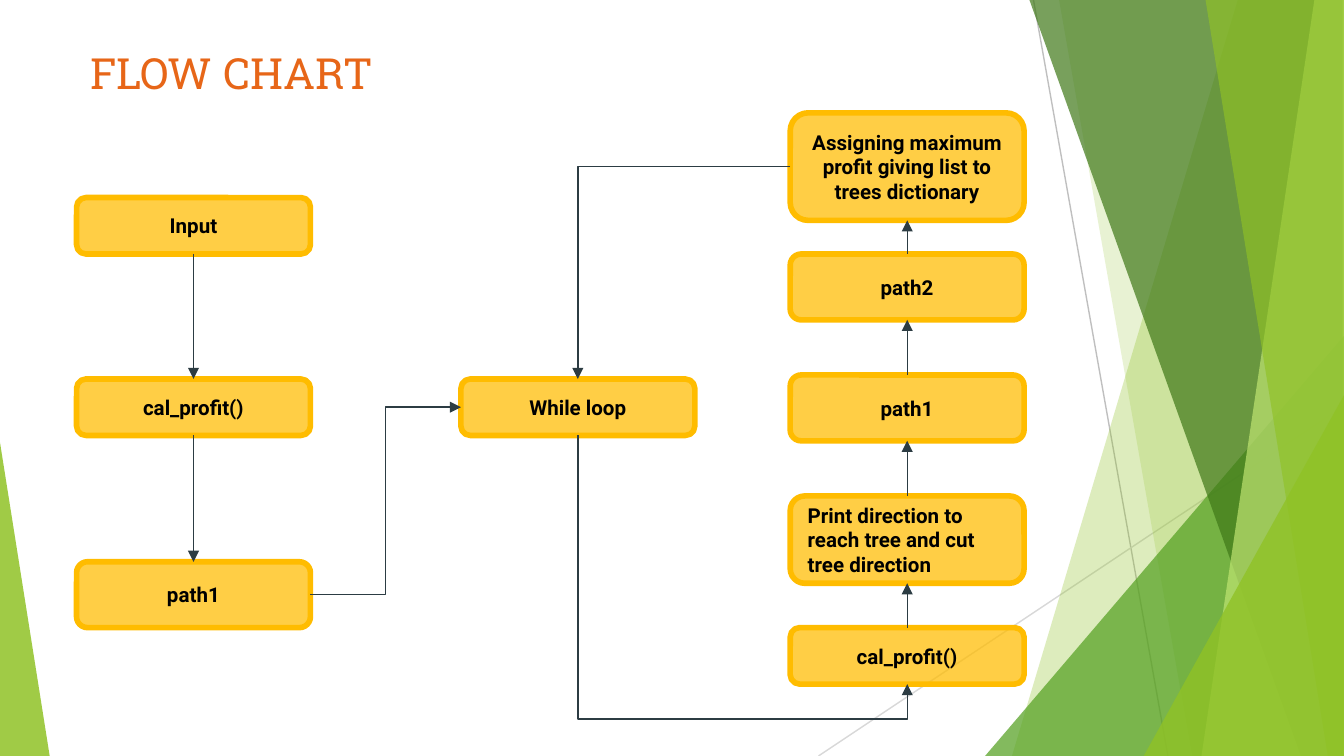
"""Builds a flow chart slide with faceted green side panels."""
from lxml import etree
from pptx import Presentation
from pptx.dml.color import RGBColor
from pptx.enum.shapes import MSO_CONNECTOR, MSO_SHAPE
from pptx.enum.text import MSO_ANCHOR, MSO_AUTO_SIZE, PP_ALIGN
from pptx.oxml.ns import qn
from pptx.util import Inches, Pt

STRAIGHT, ELBOW = MSO_CONNECTOR.STRAIGHT, MSO_CONNECTOR.ELBOW
TRIANGLE, ROUNDED = MSO_SHAPE.ISOSCELES_TRIANGLE, MSO_SHAPE.ROUNDED_RECTANGLE
LEFT, CENTER = PP_ALIGN.LEFT, PP_ALIGN.CENTER
TOP, MIDDLE = MSO_ANCHOR.TOP, MSO_ANCHOR.MIDDLE
SITE_TOP, SITE_LEFT, SITE_BOTTOM, SITE_RIGHT = range(4)

WIDTH = 10
HEIGHT = WIDTH * 9 / 16
BOX_WIDTH = 1.74
AMBER, INK, BLACK = "FFBC00", "2C3C43", "000000"

THIN_LINES = [((7.69, 0), (8.69, HEIGHT), "BFBFBF"),
              ((WIDTH, 3.02), (6.09, HEIGHT), "D8D8D8")]
FACETS = [
    ("panel", (9.21, 7.53, 10), "90C226", 30),
    ("panel", (7.88, 8.87, 10), "90C226", 20),
    ("triangle", (7.33, 2.5, 2.67, 1), "54A021", 72),
    ("panel", (7.66, 9.68, 9.99), "3F7818", 70),
    ("panel", (9.78, 8.94, 10), "BFE471", 70),
    ("panel", (8.97, 9.88, 10), "90C226", 65),
    ("triangle", (8.51, 2.94, 1.49, 1), "90C226", 80),
    ("triangle", (0, 3.29, 0.37, 0), "90C226", 85),
]
COLUMNS = {
    0.57: [("input", "Input", 1.47, 0.42, CENTER),
           ("profit", "cal_profit()", 2.82, 0.42, CENTER),
           ("route", "path1", 4.18, 0.49, CENTER)],
    3.43: [("loop", "While loop", 2.82, 0.42, CENTER)],
    5.88: [("assign", "Assigning maximum profit giving list to trees dictionary",
            0.84, 0.8, CENTER),
           ("second", "path2", 1.89, 0.49, CENTER),
           ("first", "path1", 2.79, 0.49, CENTER),
           ("print", "Print direction to reach tree and cut tree direction",
            3.69, 0.65, LEFT),
           ("loop_profit", "cal_profit()", 4.67, 0.42, CENTER)],
}
DOWN = [("input", "profit"), ("profit", "route")]
UP = [("loop_profit", "print"), ("print", "first"),
      ("first", "second"), ("second", "assign")]


def color(value):
    return RGBColor.from_string(value)


def paint(shape, value, opacity):
    shape.shadow.inherit = False
    shape.fill.solid()
    shape.fill.fore_color.rgb = color(value)
    shape.line.fill.background()
    tint = shape.element.spPr.find(".//" + qn("a:srgbClr"))
    etree.SubElement(tint, qn("a:alpha"), val=str(opacity * 1000))


def write(shape, text, size, font, value, align, anchor, bold=False):
    frame = shape.text_frame
    frame.word_wrap = True
    frame.vertical_anchor = anchor
    frame.margin_left = frame.margin_right = Inches(0.1)
    frame.margin_top = frame.margin_bottom = Inches(0.1)
    para = frame.paragraphs[0]
    para.alignment = align
    span = para.add_run()
    span.text = text
    span.font.size, span.font.name, span.font.bold = Pt(size), font, bold
    span.font.color.rgb = color(value)


def add_line(kind, start, end, value):
    line = page.shapes.add_connector(kind, *(Inches(n) for n in (*start, *end)))
    line.line.color.rgb = color(value)
    line.line.width = Pt(0.75)
    etree.SubElement(line.element.spPr, qn("a:effectLst"))
    return line


def add_facet(kind, numbers, value, opacity):
    if kind == "panel":
        top_x, bottom_x, right = numbers
        outline = page.shapes.build_freeform(Inches(top_x), 0)
        corners = [(right, 0), (right, HEIGHT), (bottom_x, HEIGHT)]
        outline.add_line_segments([(Inches(x), Inches(y)) for x, y in corners])
        facet = outline.convert_to_shape()
    else:
        left, top, width, apex = numbers
        facet = page.shapes.add_shape(TRIANGLE, Inches(left), Inches(top),
                                      Inches(width), Inches(HEIGHT - top))
        facet.adjustments[0] = apex
    paint(facet, value, opacity)


def add_box(left, text, top, height, align):
    box = page.shapes.add_shape(ROUNDED, Inches(left), Inches(top),
                                Inches(BOX_WIDTH), Inches(height))
    paint(box, AMBER, 73)
    box.line.color.rgb = color(AMBER)
    box.line.width = Pt(3)
    write(box, text, 11, "Roboto", BLACK, align, MIDDLE, True)
    return box


def add_arrow(kind, source, source_site, target, target_site):
    arrow = add_line(kind, (0, 0), (1, 1), INK)
    arrow.begin_connect(boxes[source], source_site)
    arrow.end_connect(boxes[target], target_site)
    outline = arrow.element.spPr.find(qn("a:ln"))
    etree.SubElement(outline, qn("a:tailEnd"), type="triangle")
    return arrow


def turn_under(arrow, overshoot):
    width, height = arrow.height, arrow.width
    center_x = arrow.left + arrow.width // 2
    center_y = arrow.top + arrow.height // 2
    arrow.left, arrow.top = center_x - width // 2, center_y - height // 2
    arrow.width, arrow.height = width, height
    frame = arrow.element.spPr.find(qn("a:xfrm"))
    frame.set("rot", str(270 * 60000))
    frame.set("flipH", "1")
    guides = arrow.element.spPr.find(qn("a:prstGeom")).find(qn("a:avLst"))
    etree.SubElement(guides, qn("a:gd"), name="adj1",
                     fmla=f"val {round(overshoot * 100000)}")


deck = Presentation()
deck.slide_width, deck.slide_height = Inches(WIDTH), Inches(HEIGHT)
page = deck.slides.add_slide(deck.slide_layouts[5])

for start, end, value in THIN_LINES:
    add_line(STRAIGHT, start, end, value)
for facet in FACETS:
    add_facet(*facet)

boxes = {name: add_box(left, *details)
         for left, column in COLUMNS.items() for name, *details in column}

for source, target in DOWN:
    add_arrow(STRAIGHT, source, SITE_BOTTOM, target, SITE_TOP)
for source, target in UP:
    add_arrow(STRAIGHT, source, SITE_TOP, target, SITE_BOTTOM)
add_arrow(ELBOW, "route", SITE_RIGHT, "loop", SITE_LEFT)
turn_under(add_arrow(ELBOW, "loop", SITE_BOTTOM, "loop_profit", SITE_BOTTOM), 1.14)
back = add_arrow(ELBOW, "assign", SITE_LEFT, "loop", SITE_TOP)
back.element.spPr.find(qn("a:prstGeom")).set("prst", "bentConnector2")

title = page.shapes.title
title.left, title.top = Inches(0.57), Inches(0.25)
title.width, title.height = Inches(2.67), Inches(0.59)
write(title, "FLOW CHART", 23, "Roboto Slab", "E76618", LEFT, TOP)
title.text_frame.auto_size = MSO_AUTO_SIZE.SHAPE_TO_FIT_TEXT

deck.save("out.pptx")
